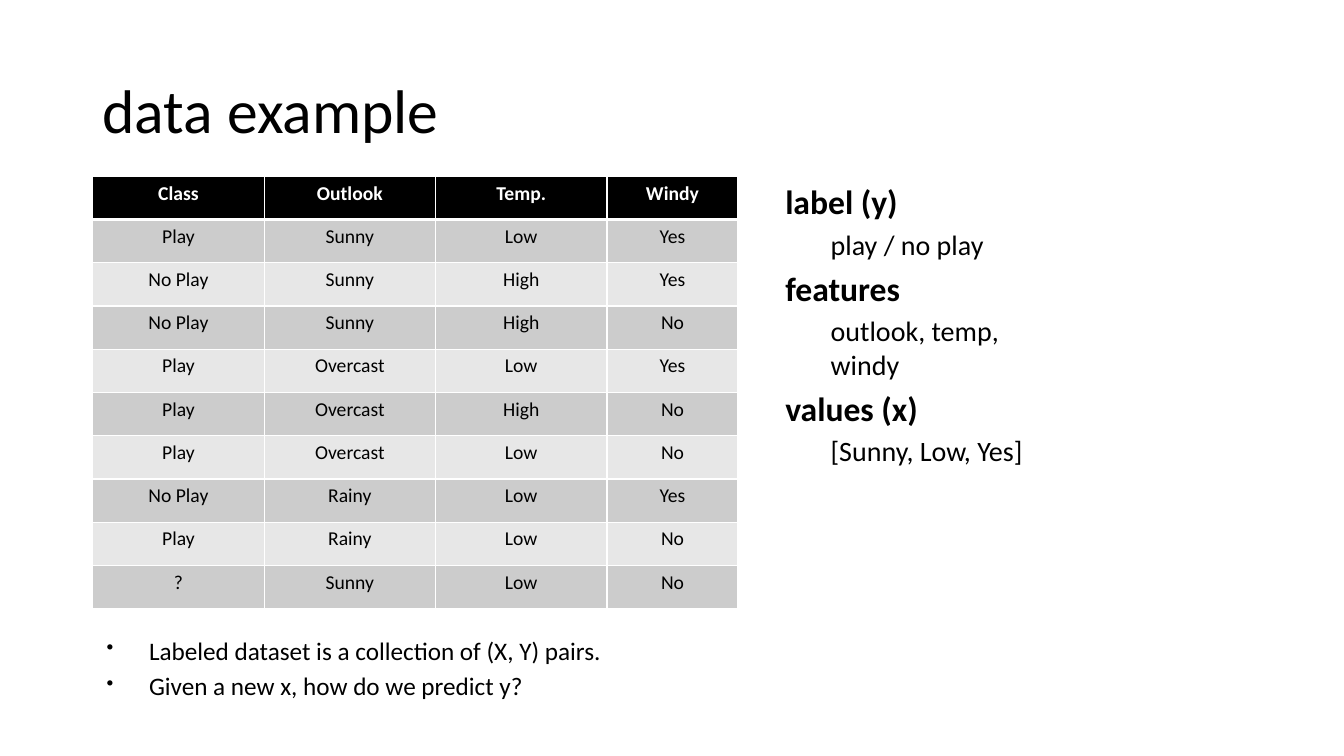
from lxml.etree import SubElement
from pptx import Presentation
from pptx.dml.color import RGBColor
from pptx.enum.text import MSO_ANCHOR, PP_ALIGN
from pptx.oxml.ns import qn
from pptx.util import Inches, Pt

FONT = "Calibri"
COLORS = {"ink": "000000", "paper": "FFFFFF", "odd_row": "CCCCCC", "even_row": "E7E7E7"}

COLUMN_WIDTHS = [1.7, 1.7, 1.7, 1.3]
WEATHER = [
    ("Class", "Outlook", "Temp.", "Windy"),
    ("Play", "Sunny", "Low", "Yes"),
    ("No Play", "Sunny", "High", "Yes"),
    ("No Play", "Sunny", "High", "No"),
    ("Play", "Overcast", "Low", "Yes"),
    ("Play", "Overcast", "High", "No"),
    ("Play", "Overcast", "Low", "No"),
    ("No Play", "Rainy", "Low", "Yes"),
    ("Play", "Rainy", "Low", "No"),
    ("?", "Sunny", "Low", "No"),
]
TERMS = [
    ("label (y)", "play / no play"),
    ("features", "outlook, temp, windy"),
    ("values (x)", "[Sunny, Low, Yes]"),
]
TAKEAWAYS = [
    "Labeled dataset is a collection of (X, Y) pairs.",
    "Given a new x, how do we predict y?",
]


def rgb(name):
    return RGBColor.from_string(COLORS[name])


def style(paragraph, size, color="ink", bold=False):
    font = paragraph.font
    font.name, font.size, font.bold = FONT, Pt(size), bold
    font.color.rgb = rgb(color)


def add_frame(slide, box):
    frame = slide.shapes.add_textbox(*map(Inches, box)).text_frame
    frame.word_wrap = True
    return frame


def add_lines(frame, lines):
    """Write (text, size, bold, margin, indent) lines, each spaced by a fifth of its size."""
    for i, (text, size, bold, margin, indent) in enumerate(lines):
        paragraph = frame.add_paragraph() if i else frame.paragraphs[0]
        paragraph.text = text
        paragraph.space_before = Pt(size * 0.2)
        style(paragraph, size, bold=bold)
        properties = paragraph._p.get_or_add_pPr()
        properties.set("marL", str(Inches(margin)))
        properties.set("indent", str(Inches(indent)))


def add_title(slide, box):
    frame = add_frame(slide, box)
    frame.vertical_anchor = MSO_ANCHOR.MIDDLE
    title = frame.paragraphs[0]
    title.text = "data example"
    title.line_spacing = 0.9
    style(title, 44)


def add_borders(cell, bottom_width):
    properties = cell._tc.get_or_add_tcPr()
    for side, width in (("L", 1), ("R", 1), ("T", 1), ("B", bottom_width)):
        line = SubElement(properties, qn(f"a:ln{side}"), w=str(Pt(width)))
        fill = SubElement(line, qn("a:solidFill"))
        SubElement(fill, qn("a:srgbClr"), val=COLORS["paper"])


def add_weather_table(slide, box):
    table = slide.shapes.add_table(
        len(WEATHER), len(COLUMN_WIDTHS), *map(Inches, box)).table
    for column, width in zip(table.columns, COLUMN_WIDTHS):
        column.width = Inches(width)
    for r, record in enumerate(WEATHER):
        header = r == 0
        row_fill = "ink" if header else "odd_row" if r % 2 else "even_row"
        for c, value in enumerate(record):
            cell = table.cell(r, c)
            cell.margin_left = cell.margin_right = Inches(0.2)
            cell.text = value
            entry = cell.text_frame.paragraphs[0]
            entry.alignment = PP_ALIGN.CENTER
            style(entry, 14, "paper" if header else "ink", header)
            add_borders(cell, 3 if header else 1)
            cell.fill.solid()
            cell.fill.fore_color.rgb = rgb(row_fill)


def add_terms(slide, box):
    lines = []
    for term, meaning in TERMS:
        lines += [(term, 24, True, 0.04, 0), (meaning, 20, False, 0.49, 0)]
    add_lines(add_frame(slide, box), lines)


def add_takeaways(slide, box):
    frame = add_frame(slide, box)
    add_lines(frame, [(text, 18, False, 0.46, -0.42) for text in TAKEAWAYS])
    for paragraph in frame.paragraphs:
        properties = paragraph._p.get_or_add_pPr()
        bullet_size = properties.makeelement(qn("a:buSzPct"), {"val": "80000"})
        bullet = properties.makeelement(qn("a:buChar"), {"char": "•"})
        properties.find(qn("a:spcBef")).addnext(bullet_size)
        bullet_size.addnext(bullet)


def main():
    deck = Presentation()
    deck.slide_width, deck.slide_height = Inches(13.33), Inches(7.5)
    slide = deck.slides.add_slide(deck.slide_layouts[6])
    add_title(slide, (0.92, 0.4, 11.5, 1.45))
    add_weather_table(slide, (0.92, 1.75, sum(COLUMN_WIDTHS), 4.29))
    add_terms(slide, (7.65, 1.75, 3.08, 3.92))
    add_takeaways(slide, (0.92, 6.25, 5.7, 0.92))
    deck.save("out.pptx")


if __name__ == "__main__":
    main()
